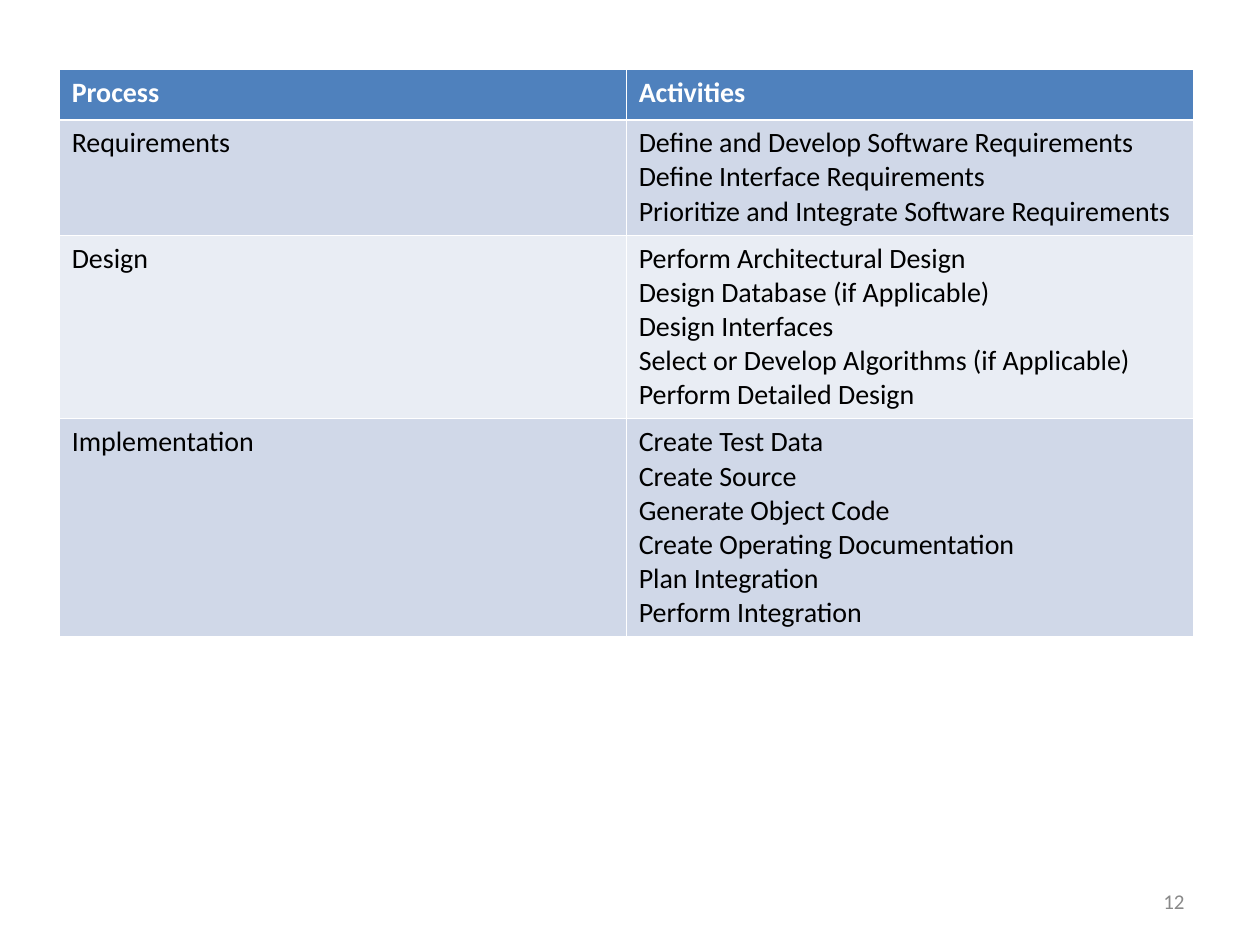
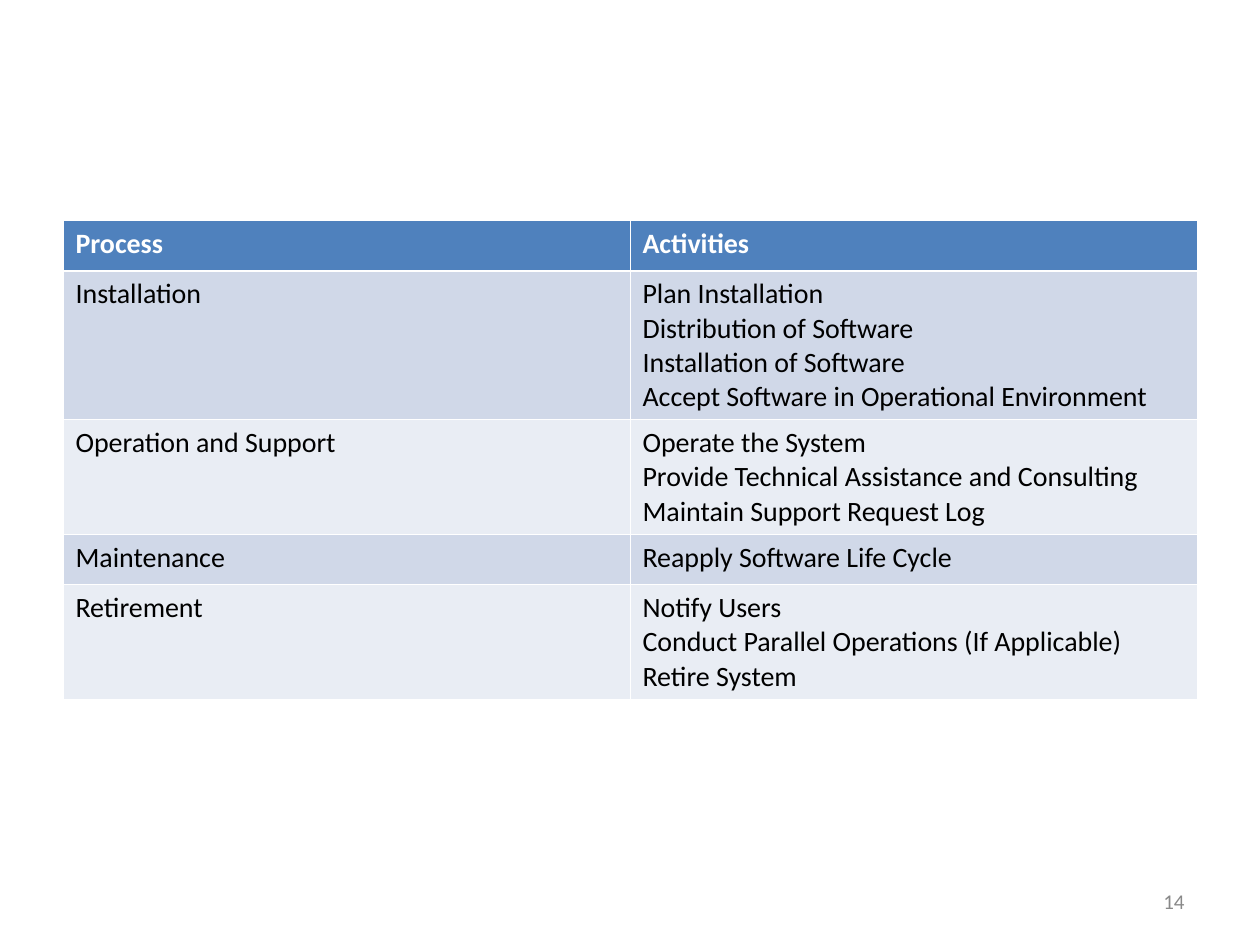
from lxml import etree
from pptx import Presentation
from pptx.dml.color import RGBColor
from pptx.enum.text import MSO_ANCHOR, PP_ALIGN
from pptx.oxml.ns import qn
from pptx.util import Inches, Pt

FONT = "Calibri"
WHITE, BLACK, GREY = "FFFFFF", "000000", "898989"
HEADER, BANDS = "4F81BD", ("D0D8E8", "E9EDF4")
THIN, THICK = 0.45, 1.47  # cell border widths in points
COL_W, LINE_H, PADDING, MIN_ROW_H = 4.5, 0.27, 0.1, 0.4

# page number, table left and top, rows of (process, activities)
PAGES = [
    ("12", 0.47, 0.55, [
        ("Requirements", ["Define and Develop Software Requirements",
                          "Define Interface Requirements",
                          "Prioritize and Integrate Software Requirements"]),
        ("Design", ["Perform Architectural Design",
                    "Design Database (if Applicable)",
                    "Design Interfaces",
                    "Select or Develop Algorithms (if Applicable)",
                    "Perform Detailed Design"]),
        ("Implementation", ["Create Test Data",
                            "Create Source",
                            "Generate Object Code",
                            "Create Operating Documentation",
                            "Plan Integration",
                            "Perform Integration"]),
    ]),
    ("14", 0.5, 1.75, [
        ("Installation", ["Plan Installation",
                          "Distribution of Software",
                          "Installation of Software",
                          "Accept Software in Operational Environment"]),
        ("Operation and Support", ["Operate the System",
                                   "Provide Technical Assistance and Consulting",
                                   "Maintain Support Request Log"]),
        ("Maintenance", ["Reapply Software Life Cycle"]),
        ("Retirement", ["Notify Users",
                        "Conduct Parallel Operations (If Applicable)",
                        "Retire System"]),
    ]),
]


def write(tf, lines, size=16, color=BLACK, bold=False, align=PP_ALIGN.LEFT):
    """Fill a text frame with one paragraph per line."""
    tf.word_wrap = True
    for i, line in enumerate(lines):
        p = tf.paragraphs[0] if i == 0 else tf.add_paragraph()
        p.alignment = align
        r = p.add_run()
        r.text = line
        r.font.name, r.font.size, r.font.bold = FONT, Pt(size), bold
        r.font.color.rgb = RGBColor.from_string(color)


def style_cell(cell, fill, top, bottom):
    """Set white borders, then the fill, as the schema orders them."""
    tc_pr = cell._tc.get_or_add_tcPr()
    for side, width in (("L", THIN), ("R", THIN), ("T", top), ("B", bottom)):
        ln = etree.SubElement(tc_pr, qn(f"a:ln{side}"), w=str(Pt(width)))
        solid = etree.SubElement(ln, qn("a:solidFill"))
        etree.SubElement(solid, qn("a:srgbClr"), val=WHITE)
    cell.fill.solid()
    cell.fill.fore_color.rgb = RGBColor.from_string(fill)


prs = Presentation()
prs.slide_width, prs.slide_height = Inches(10), Inches(7.5)

for number, left, top, processes in PAGES:
    s = prs.slides.add_slide(prs.slide_layouts[6])
    rows = [("Process", ["Activities"])] + processes
    heights = [max(MIN_ROW_H, LINE_H * len(acts) + PADDING) for _, acts in rows]
    table = s.shapes.add_table(len(rows), 2, Inches(left), Inches(top),
                               Inches(2 * COL_W), Inches(sum(heights))).table
    for col in table.columns:
        col.width = Inches(COL_W)

    for i, (process, activities) in enumerate(rows):
        table.rows[i].height = Inches(heights[i])
        is_header = i == 0
        for j, lines in enumerate(([process], activities)):
            cell = table.cell(i, j)
            style_cell(cell, HEADER if is_header else BANDS[(i - 1) % 2],
                       top=THICK if i == 1 else THIN,
                       bottom=THICK if is_header else THIN)
            write(cell.text_frame, lines, bold=is_header,
                  color=WHITE if is_header else BLACK)

    tf = s.shapes.add_textbox(Inches(7.17), Inches(6.95),
                              Inches(2.33), Inches(0.4)).text_frame
    tf.vertical_anchor = MSO_ANCHOR.MIDDLE
    write(tf, [number], size=12, color=GREY, align=PP_ALIGN.RIGHT)

prs.save("out.pptx")
